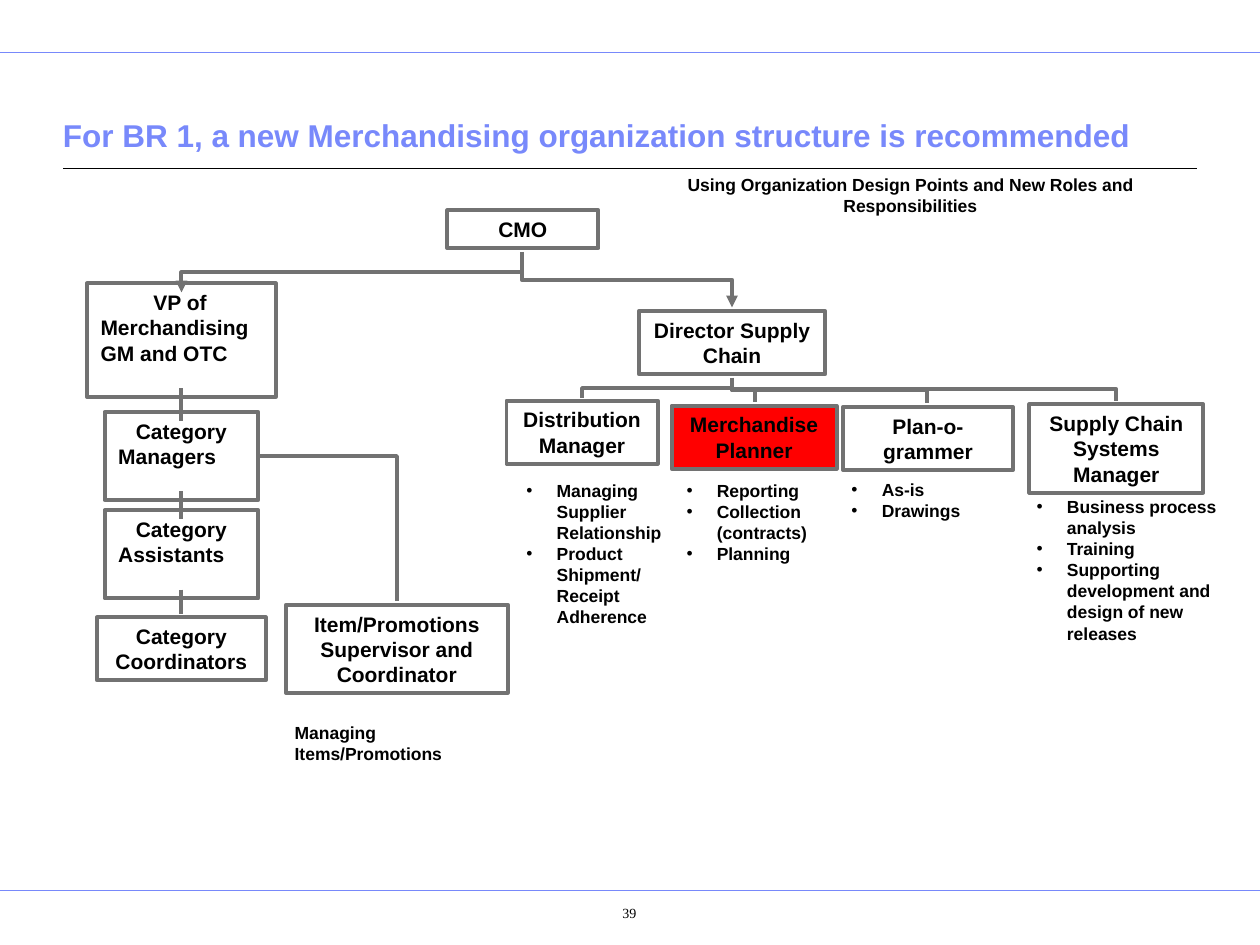
import pptx
import pptx.dml.color
import pptx.enum.shapes
import pptx.enum.text
import pptx.oxml.ns
import pptx.util
from lxml import etree

Inches = pptx.util.Inches
Pt = pptx.util.Pt
RGBColor = pptx.dml.color.RGBColor
Align = pptx.enum.text.PP_ALIGN
Anchor = pptx.enum.text.MSO_ANCHOR
Connector = pptx.enum.shapes.MSO_CONNECTOR
qn = pptx.oxml.ns.qn

BLACK = RGBColor(0x00, 0x00, 0x00)
GRAY = RGBColor(0x72, 0x72, 0x72)
PERIWINKLE = RGBColor(0x78, 0x89, 0xFB)
RED = RGBColor(0xFF, 0x00, 0x00)


def write_text(tf, *lines, size=10, font="Arial", color=BLACK, bold=True,
               align=Align.LEFT, anchor=Anchor.TOP, wrap=True,
               margin=0, indent=0, bullet=None, side_inset=0.1):
    tf.word_wrap = wrap
    tf.vertical_anchor = anchor
    tf.margin_left = tf.margin_right = Inches(side_inset)
    tf.margin_top = tf.margin_bottom = Inches(0.05)
    for i, line in enumerate(lines):
        p = tf.paragraphs[0] if i == 0 else tf.add_paragraph()
        p.alignment = align
        pPr = p._p.get_or_add_pPr()
        pPr.set("marL", str(Inches(margin)))
        pPr.set("indent", str(Inches(indent)))
        if bullet:
            etree.SubElement(pPr, qn("a:buFont")).set("typeface", font)
            etree.SubElement(pPr, qn("a:buChar")).set("char", bullet)
        r = p.add_run()
        r.text = line
        r.font.size = Pt(size)
        r.font.name = font
        r.font.bold = bold
        r.font.color.rgb = color


class OrgChart:
    def __init__(self, slide, line_color=GRAY, line_width=2.25):
        self.s = slide
        self.line_color = line_color
        self.line_width = line_width

    def text(self, x, y, w, h, *lines, **fmt):
        sp = self.s.shapes.add_textbox(Inches(x), Inches(y), Inches(w), Inches(h))
        write_text(sp.text_frame, *lines, **fmt)

    def bullets(self, x, y, w, h, *lines):
        self.text(x, y, w, h, *lines, bullet="•", margin=0.24, indent=-0.24)

    def box(self, x, y, w, h, label, fill=None, **fmt):
        sp = self.s.shapes.add_shape(pptx.enum.shapes.MSO_SHAPE.RECTANGLE,
                                     Inches(x), Inches(y), Inches(w), Inches(h))
        sp.shadow.inherit = False
        if fill is None:
            sp.fill.background()
        else:
            sp.fill.solid()
            sp.fill.fore_color.rgb = fill
        sp.line.color.rgb = self.line_color
        sp.line.width = Pt(self.line_width)
        style = {"size": 12, "align": Align.CENTER, "anchor": Anchor.MIDDLE}
        write_text(sp.text_frame, label, **{**style, **fmt})

    def line(self, x1, y1, x2, y2, kind=Connector.STRAIGHT, color=None, width=None):
        sp = self.s.shapes.add_connector(kind, Inches(x1), Inches(y1),
                                         Inches(x2), Inches(y2))
        sp.line.color.rgb = color or self.line_color
        sp.line.width = Pt(width or self.line_width)
        etree.SubElement(sp._element.spPr, qn("a:effectLst"))
        return sp

    def branch(self, x1, y1, x2, y2, arrow=False):
        cx, cy = (x1 + x2) / 2, (y1 + y2) / 2
        half_w, half_h = abs(y2 - y1) / 2, abs(x2 - x1) / 2
        sp = self.line(cx - half_w, cy - half_h, cx + half_w, cy + half_h,
                       Connector.ELBOW)
        xfrm = sp._element.spPr.find(qn("a:xfrm"))
        if x2 > x1:
            xfrm.set("rot", str(270 * 60000))
            xfrm.set("flipH", "1")
        else:
            xfrm.set("rot", str(90 * 60000))
        if arrow:
            ln = sp._element.spPr.find(qn("a:ln"))
            etree.SubElement(ln, qn("a:tailEnd")).set("type", "triangle")

    def corner(self, x1, y1, x2, y2):
        sp = self.line(x1, y1, x2, y2, Connector.ELBOW)
        sp._element.spPr.find(qn("a:prstGeom")).set("prst", "bentConnector2")


def main():
    prs = pptx.Presentation()
    prs.slide_width, prs.slide_height = Inches(10), Inches(7.5)
    chart = OrgChart(prs.slides.add_slide(prs.slide_layouts[6]))

    for y in (0.42, 7.07):
        chart.line(0, y, 10, y, color=PERIWINKLE, width=0.5)
    chart.line(0.5, 1.34, 9.5, 1.34, color=BLACK, width=0.75)
    chart.text(0.5, 0.64, 9, 0.63,
               "For BR 1, a new Merchandising organization structure is recommended",
               size=18, color=PERIWINKLE, anchor=Anchor.BOTTOM, side_inset=0)
    chart.text(4.81, 1.33, 4.83, 0.27,
               "Using Organization Design Points and New Roles and Responsibilities",
               align=Align.CENTER, wrap=False)

    for x, y, w, h, label in (
        (3.55, 1.67, 1.2, 0.3, "CMO"),
        (5.07, 2.47, 1.48, 0.5, "Director Supply Chain"),
        (4.02, 3.18, 1.2, 0.5, "Distribution Manager"),
        (6.69, 3.23, 1.35, 0.5, "Plan-o-grammer"),
        (8.17, 3.21, 1.38, 0.7, "Supply Chain Systems Manager"),
        (0.77, 4.9, 1.34, 0.5, "Category Coordinators"),
        (2.27, 4.8, 1.76, 0.7, "Item/Promotions Supervisor and Coordinator"),
    ):
        chart.box(x, y, w, h, label)
    chart.box(5.33, 3.22, 1.31, 0.5, "Merchandise Planner", fill=RED)

    for x, y, w, h, label, indent in (
        (0.69, 2.25, 1.5, 0.9, "VP of Merchandising GM and OTC", 0.42),
        (0.83, 3.27, 1.22, 0.7, "Category Managers", 0.14),
        (0.83, 4.05, 1.22, 0.7, "Category Assistants", 0.14),
    ):
        chart.box(x, y, w, h, label, align=Align.LEFT, anchor=Anchor.TOP,
                  margin=0.01, indent=indent)

    chart.branch(4.14, 2, 1.44, 2.32, arrow=True)
    chart.branch(4.14, 2, 5.81, 2.44, arrow=True)
    for x, y in ((4.62, 3.16), (5.99, 3.19), (7.36, 3.2), (8.86, 3.18)):
        chart.branch(5.81, 3, x, y)
    for top, bottom in ((3.08, 3.34), (3.9, 4.12), (4.68, 4.87)):
        chart.line(1.44, top, 1.44, bottom)
    chart.corner(2.06, 3.62, 3.15, 4.77)

    chart.bullets(4.08, 3.76, 1.31, 1.61, "Managing Supplier Relationship",
                  "Product Shipment/ Receipt Adherence")
    chart.bullets(5.35, 3.76, 1.29, 0.77, "Reporting", "Collection (contracts)",
                  "Planning")
    chart.bullets(6.66, 3.75, 1.7, 0.44, "As-is", "Drawings")
    chart.bullets(8.13, 3.89, 1.7, 1.27, "Business process analysis", "Training",
                  "Supporting development and design of new releases")
    chart.text(2.24, 5.68, 1.48, 0.44, "Managing Items/Promotions")
    chart.text(4.42, 7.13, 1.15, 0.33, "39", size=8, font="Times New Roman",
               bold=False, align=Align.CENTER)

    prs.save("out.pptx")


if __name__ == "__main__":
    main()
